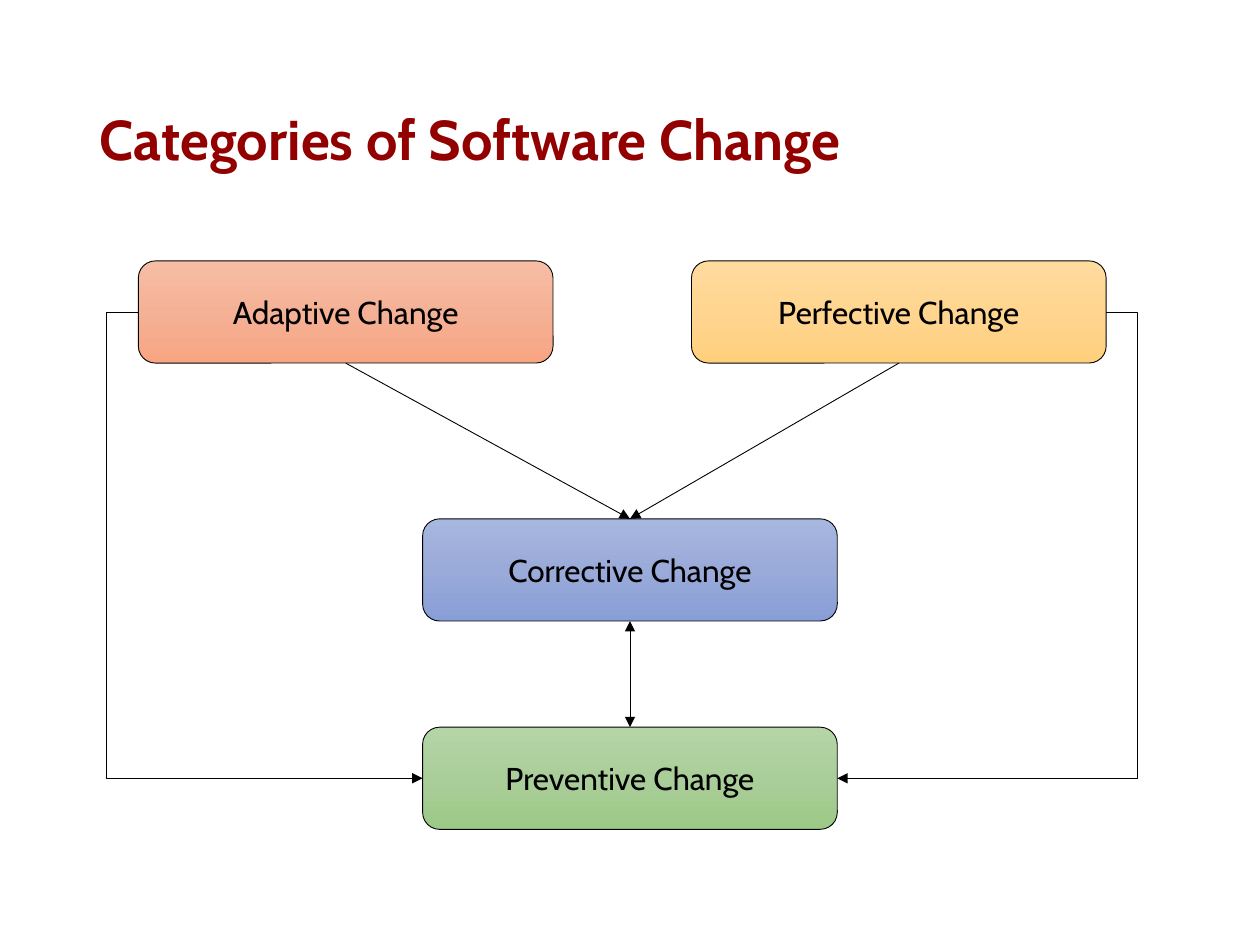
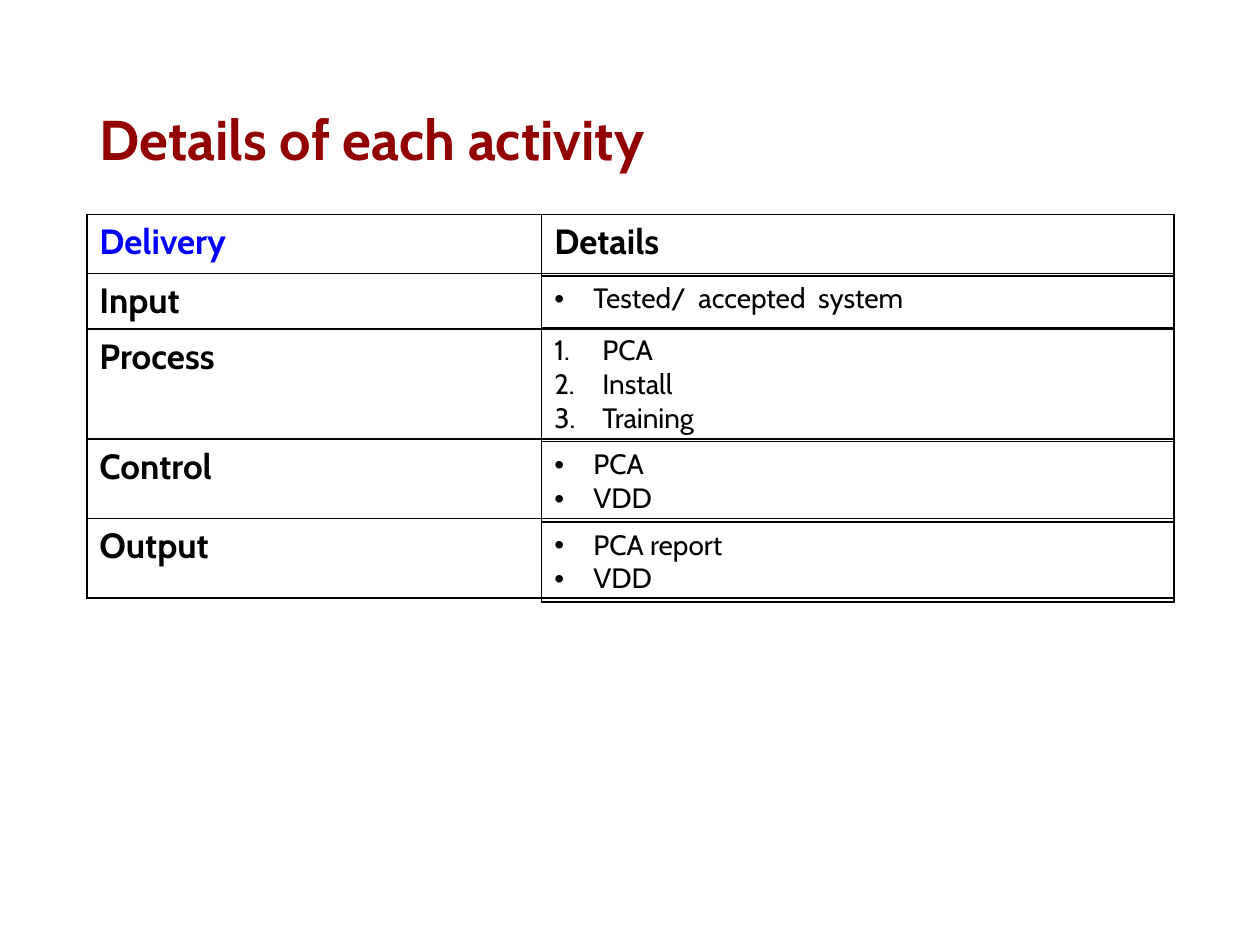
from copy import deepcopy
from dataclasses import dataclass

from lxml import etree
from pptx import Presentation
from pptx.dml.color import RGBColor
from pptx.enum.shapes import MSO_CONNECTOR, MSO_SHAPE
from pptx.enum.text import MSO_ANCHOR, MSO_AUTO_SIZE, PP_ALIGN
from pptx.oxml import parse_xml
from pptx.oxml.ns import nsdecls, qn
from pptx.util import Cm, Pt

ROUNDED = MSO_SHAPE.ROUNDED_RECTANGLE
STRAIGHT, ELBOW = MSO_CONNECTOR.STRAIGHT, MSO_CONNECTOR.ELBOW
MIDDLE, NO_FIT = MSO_ANCHOR.MIDDLE, MSO_AUTO_SIZE.NONE
LEFT, CENTER = PP_ALIGN.LEFT, PP_ALIGN.CENTER
TOP_SIDE, LEFT_SIDE, BOTTOM_SIDE, RIGHT_SIDE = range(4)


@dataclass(frozen=True)
class Theme:
    font: str = "Cabin"
    title: str = "920000"
    ink: str = "000000"
    accent: str = "0000FF"
    title_size: int = 32
    label_size: int = 20
    box_size: int = 18
    detail_size: int = 16
    outline: float = 0.5
    border: int = 1


THEME = Theme()


def set_font(para, size, color=THEME.ink, bold=False):
    para.font.name = THEME.font
    para.font.size = Pt(size)
    para.font.bold = bold
    para.font.color.rgb = RGBColor.from_string(color)


def add_grid(page, left, top, widths, heights):
    grid = page.shapes.add_table(len(heights), len(widths), Cm(left), Cm(top),
                                 Cm(sum(widths)), Cm(sum(heights))).table
    grid.first_row = grid.horz_banding = False
    for column, width in zip(grid.columns, widths):
        column.width = Cm(width)
    for row, height in zip(grid.rows, heights):
        row.height = Cm(height)
    for cell in grid.iter_cells():
        cell.fill.background()
        properties = cell._tc.get_or_add_tcPr()
        for position, side in enumerate(("lnL", "lnR", "lnT", "lnB")):
            properties.insert(position, parse_xml(
                f'<a:{side} {nsdecls("a")} w="{Pt(THEME.border)}"><a:solidFill>'
                f'<a:srgbClr val="{THEME.ink}"/></a:solidFill></a:{side}>'))
    return grid


deck = Presentation()
deck.slide_width, deck.slide_height = Cm(25.4), Cm(19.05)

pages = []
for heading in ("Categories of Software Change", "Details of each activity"):
    page = deck.slides.add_slide(deck.slide_layouts[5])
    title = page.shapes.title
    title.left, title.top, title.width, title.height = Cm(1.75), Cm(1.02), Cm(21.89), Cm(3.68)
    title.text_frame.text = heading
    title.text_frame.vertical_anchor = MIDDLE
    title.text_frame.auto_size = NO_FIT
    para = title.text_frame.paragraphs[0]
    para.alignment = LEFT
    para.line_spacing = 0.9
    set_font(para, THEME.title_size, THEME.title, True)
    pages.append(page)
categories_page, activity_page = pages

BOX_WIDTH, BOX_HEIGHT = 8.36, 2.06
CHANGES = (
    ("Adaptive", 2.79, 5.26, ("F7BDA5", "F5B196", "F8A582")),
    ("Perfective", 13.94, 5.26, ("FFDB9E", "FFD590", "FFD07C")),
    ("Corrective", 8.52, 10.46, ("A8B7DF", "9AABD9", "889ED7")),
    ("Preventive", 8.52, 14.66, ("B5D5A7", "AACE9A", "9CC987")),
)
boxes = {}
for change, left, top, shades in CHANGES:
    box = categories_page.shapes.add_shape(ROUNDED, Cm(left), Cm(top), Cm(BOX_WIDTH), Cm(BOX_HEIGHT))
    box.shadow.inherit = False
    box.fill.gradient()
    box.fill.gradient_angle = 270
    stop_list = box._element.spPr.find(".//" + qn("a:gsLst"))
    stop_list.append(deepcopy(stop_list[-1]))
    for stop, position, shade in zip(box.fill.gradient_stops, (0, 0.5, 1), shades):
        stop.position = position
        stop.color.rgb = RGBColor.from_string(shade)
    box.line.color.rgb = RGBColor.from_string(THEME.ink)
    box.line.width = Pt(THEME.outline)
    box.text_frame.text = f"{change} Change"
    box.text_frame.vertical_anchor = MIDDLE
    para = box.text_frame.paragraphs[0]
    para.alignment = CENTER
    set_font(para, THEME.box_size)
    boxes[change] = box

ARROWS = (
    (STRAIGHT, "Adaptive", BOTTOM_SIDE, "Corrective", TOP_SIDE, ("tailEnd",), None),
    (STRAIGHT, "Perfective", BOTTOM_SIDE, "Corrective", TOP_SIDE, ("tailEnd",), None),
    (ELBOW, "Adaptive", LEFT_SIDE, "Preventive", LEFT_SIDE, ("tailEnd",), -11100),
    (ELBOW, "Perfective", RIGHT_SIDE, "Preventive", RIGHT_SIDE, ("tailEnd",), -11700),
    (STRAIGHT, "Corrective", BOTTOM_SIDE, "Preventive", TOP_SIDE, ("headEnd", "tailEnd"), None),
)
for kind, source, source_side, target, target_side, heads, bend in ARROWS:
    arrow = categories_page.shapes.add_connector(kind, 0, 0, 0, 0)
    arrow.begin_connect(boxes[source], source_side)
    arrow.end_connect(boxes[target], target_side)
    arrow.line.color.rgb = RGBColor.from_string(THEME.ink)
    arrow.line.width = Pt(THEME.outline)
    properties = arrow._element.spPr
    for head in heads:
        etree.SubElement(properties.find(qn("a:ln")), qn(f"a:{head}"), type="triangle")
    etree.SubElement(properties, qn("a:effectLst"))
    if bend is not None:
        guides = properties.find(".//" + qn("a:avLst"))
        etree.SubElement(guides, qn("a:gd"), name="adj1", fmla=f"val {bend}")

LABEL_WIDTH, DETAIL_WIDTH = 9.17, 12.75
GRID_LEFT = 1.75
activity_grid = add_grid(activity_page, GRID_LEFT, 4.32, (LABEL_WIDTH, DETAIL_WIDTH),
                         (1.19, 1.12, 2.22, 1.6, 1.6))
LABELS = (("Delivery", "Details"), ("Input",), ("Process",), ("Control",), ("Output",))
for row_index, labels in enumerate(LABELS):
    for column_index, label in enumerate(labels):
        cell = activity_grid.cell(row_index, column_index)
        cell.text = label
        color = THEME.accent if label == "Delivery" else THEME.ink
        set_font(cell.text_frame.paragraphs[0], THEME.label_size, color, True)

detail_grid = add_grid(activity_page, GRID_LEFT + LABEL_WIDTH, 5.56, (DETAIL_WIDTH,),
                       (1.04, 2.26, 1.61, 1.61))
BULLET = ("buChar", {"char": "•"}, 0.79)
NUMBER = ("buAutoNum", {"type": "arabicPeriod"}, 0.97)
DETAILS = (
    (BULLET, ("Tested/  accepted  system",)),
    (NUMBER, ("PCA", "Install", "Training")),
    (BULLET, ("PCA", "VDD")),
    (BULLET, ("PCA report", "VDD")),
)
for row_index, ((marker, attributes, indent), items) in enumerate(DETAILS):
    cell = detail_grid.cell(row_index, 0)
    cell.text = "\n".join(items)
    for para in cell.text_frame.paragraphs:
        properties = para._p.get_or_add_pPr()
        properties.set("marL", str(Cm(indent)))
        properties.set("indent", str(-Cm(indent)))
        if marker == "buChar":
            etree.SubElement(properties, qn("a:buFont"), typeface="Arial")
        etree.SubElement(properties, qn(f"a:{marker}"), attributes)
        set_font(para, THEME.detail_size)

deck.save("out.pptx")
